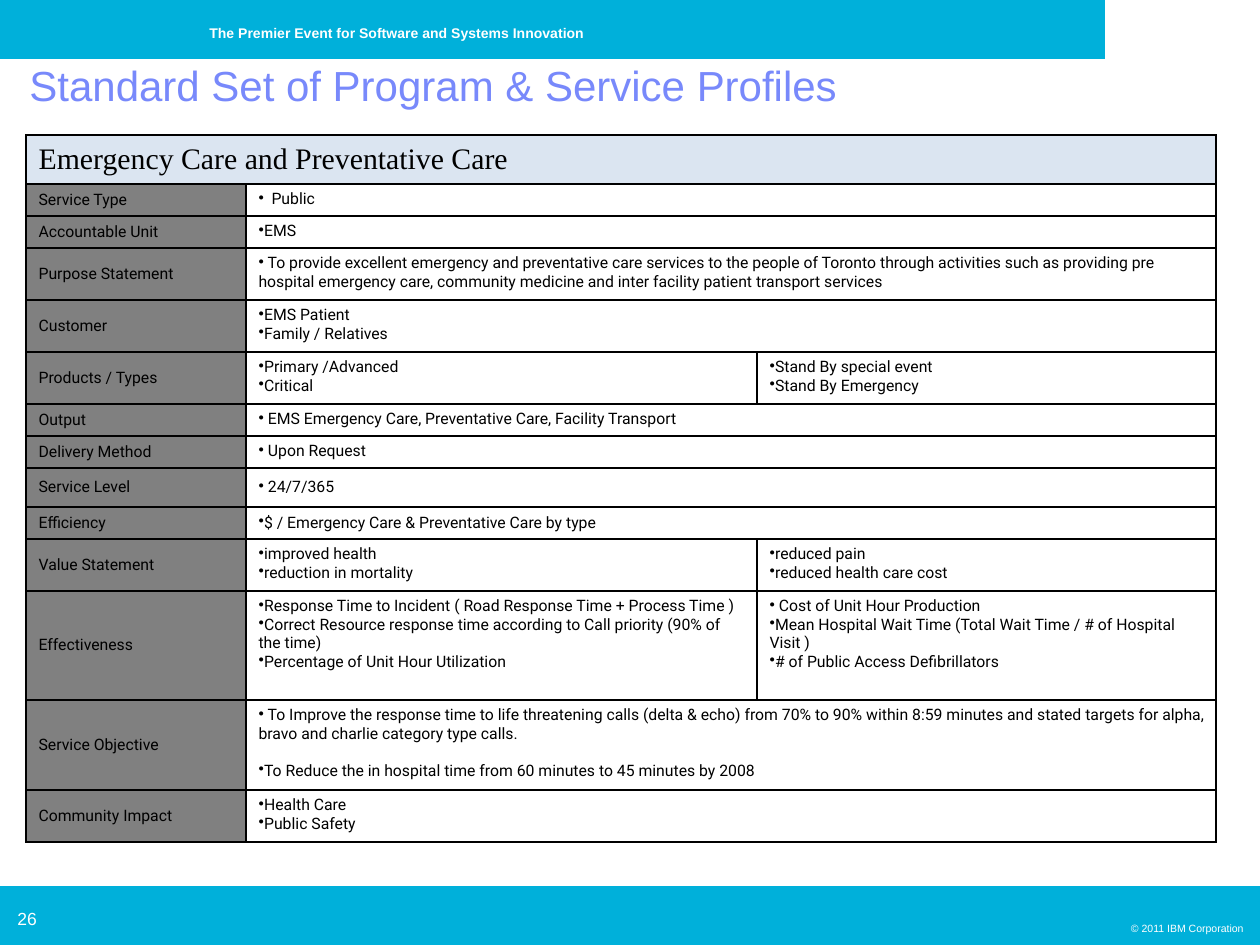
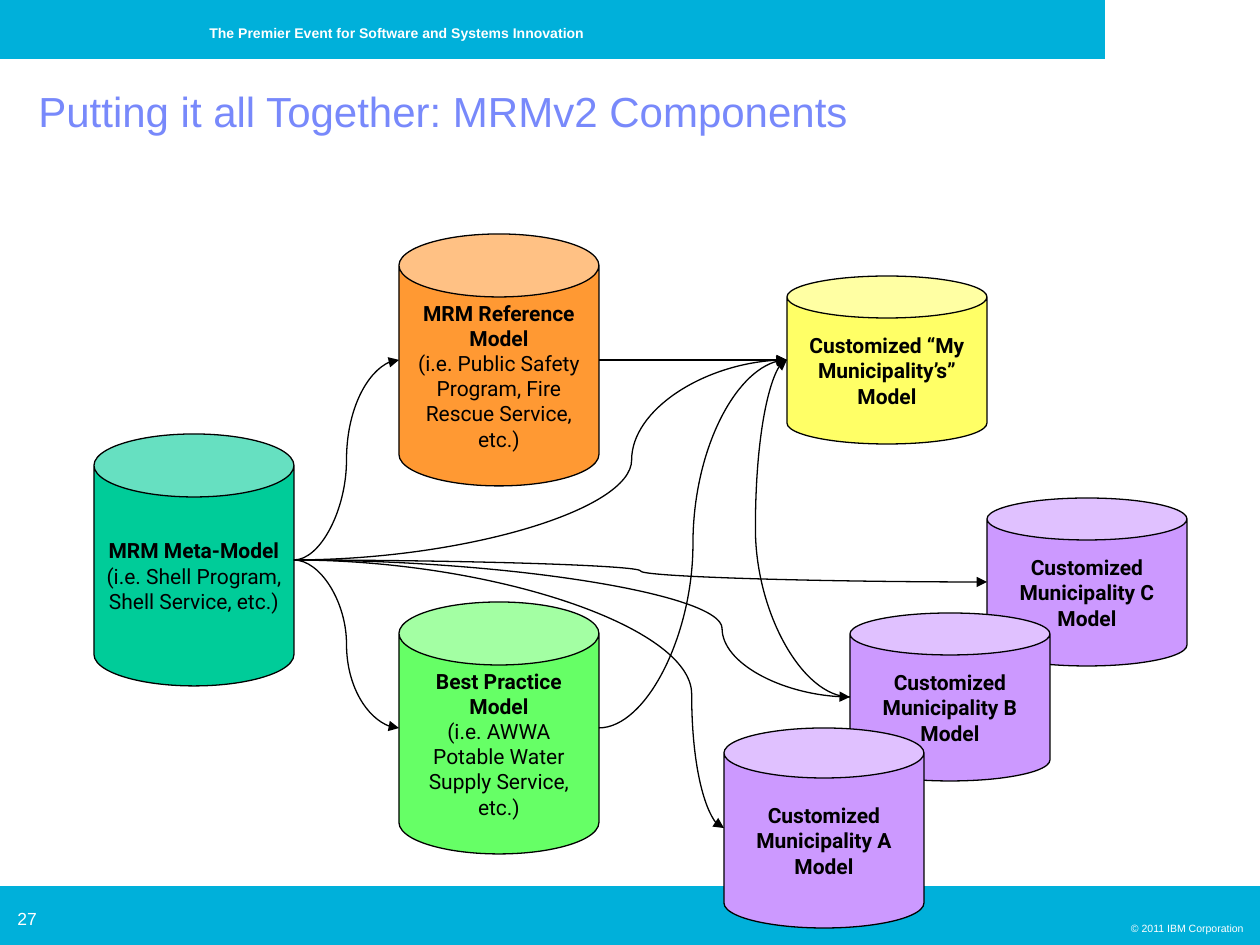
from dataclasses import dataclass
from lxml import etree
from pptx import Presentation
from pptx import util as u
from pptx.dml.color import RGBColor
from pptx.enum import shapes, text
from pptx.oxml.ns import qn

PX = 914400 / 126
SLIDE_W, SLIDE_H = 1260, 945
BAND_H = 59
CYAN, TITLE_BLUE, BLACK, WHITE = "00B0DA", "7889FB", "000000", "FFFFFF"
LABEL_GREY, HEAD_BLUE = "808080", "DBE5F1"
CAN_W = 200


@dataclass(frozen=True)
class Style:
    size: float
    font: str = "Arial"
    colour: str = WHITE
    bold: bool = False


TITLE = Style(24, colour=TITLE_BLUE)
CELL = Style(9, "Roboto", BLACK)
CAN_TEXT = Style(12, "Roboto", BLACK)
CAN_HEAD = Style(12, "Roboto", BLACK, True)


@dataclass(frozen=True)
class Row:
    label: str
    height: int
    left: tuple[str, ...]
    right: tuple[str, ...] = ()
    middle: bool = False
    hang: int = 0
    gap: float = 0


@dataclass(frozen=True)
class Can:
    name: str
    x: int
    y: int
    h: int
    fill: str
    head: str
    note: str = ""


@dataclass(frozen=True)
class Link:
    start: str
    end: str
    bend: float = 0.5
    start_side: str = "right"
    straight: bool = False


ROWS = [
    Row("Service Type", 32, ("Public",), hang=13),
    Row("Accountable Unit", 32, ("EMS",)),
    Row("Purpose Statement", 52, (
        " To provide excellent emergency and preventative care services to the people of Toronto "
        "through activities such as providing pre hospital emergency care, community medicine "
        "and inter facility patient transport services",)),
    Row("Customer", 52, ("EMS Patient", "Family / Relatives")),
    Row("Products / Types", 52, ("Primary /Advanced", "Critical"),
        ("Stand By special event", "Stand By Emergency")),
    Row("Output", 32, (" EMS Emergency Care, Preventative Care, Facility Transport",)),
    Row("Delivery Method", 32, (" Upon Request",)),
    Row("Service Level", 39, (" 24/7/365",), middle=True),
    Row("Efficiency", 32, ("$ / Emergency Care & Preventative Care by type",), middle=True),
    Row("Value Statement", 52, ("improved health", "reduction in mortality"),
        ("reduced pain", "reduced health care cost")),
    Row("Effectiveness", 109, (
        "Response Time to Incident ( Road Response Time + Process Time )",
        "Correct Resource response time according to Call priority (90% of the time)",
        "Percentage of Unit Hour Utilization"), (
        " Cost of Unit Hour Production",
        "Mean Hospital Wait Time (Total Wait Time / # of Hospital Visit )",
        "# of Public Access Defibrillators")),
    Row("Service Objective", 90, (
        " To Improve the response time to life threatening calls (delta & echo) from 70% to 90% "
        "within 8:59 minutes and stated targets for alpha, bravo and charlie category type calls.",
        "To Reduce the in hospital time from 60 minutes to 45 minutes by 2008"), gap=10.5),
    Row("Community Impact", 52, ("Health Care", "Public Safety")),
]
TABLE_HEAD_H = 49
COLUMNS = (220, 511, 459)

CANS = [
    Can("C", 987, 498, 168, "CC99FF", "Customized Municipality C Model"),
    Can("meta", 94, 434, 252, "00CC99", "MRM Meta-Model",
        "(i.e. Shell Program, Shell Service, etc.)"),
    Can("reference", 399, 234, 252, "FF9933", "MRM Reference Model",
        "(i.e. Public Safety Program, Fire Rescue Service, etc.)"),
    Can("practice", 399, 602, 252, "66FF66", "Best Practice Model",
        "(i.e. AWWA Potable Water Supply Service, etc.)"),
    Can("B", 850, 613, 168, "CC99FF", "Customized Municipality B Model"),
    Can("A", 724, 728, 200, "CC99FF", "Customized Municipality A Model"),
    Can("mine", 787, 276, 168, "FFFF66", "Customized “My Municipality’s” Model"),
]
LINKS = [
    Link("meta", "mine", 0.685),
    Link("meta", "reference"),
    Link("meta", "practice"),
    Link("meta", "A", 0.925),
    Link("meta", "B", 0.77),
    Link("meta", "C"),
    Link("reference", "mine", straight=True),
    Link("B", "mine", 1.5, start_side="left"),
    Link("practice", "mine"),
]


def px(n: float) -> int:
    return u.Emu(round(n * PX))


def rgb(colour: str) -> RGBColor:
    return RGBColor.from_string(colour)


def add_run(p, words: str, style: Style) -> None:
    r = p.add_run()
    r.text = words
    r.font.size = u.Pt(style.size)
    r.font.name = style.font
    r.font.bold = style.bold
    r.font.color.rgb = rgb(style.colour)


def add_text(s, box: tuple[int, int, int, int], words: str, style: Style,
             align=text.PP_ALIGN.LEFT, anchor=text.MSO_ANCHOR.TOP, spacing: float = 1.0) -> None:
    tf = s.shapes.add_textbox(*map(px, box)).text_frame
    tf.word_wrap = True
    tf.vertical_anchor = anchor
    p = tf.paragraphs[0]
    p.alignment = align
    p.line_spacing = spacing
    add_run(p, words, style)


def add_band(s, y: int, w: int) -> None:
    sp = s.shapes.add_shape(shapes.MSO_SHAPE.RECTANGLE, 0, px(y), px(w), px(BAND_H))
    sp.shadow.inherit = False
    sp.fill.solid()
    sp.fill.fore_color.rgb = rgb(CYAN)
    sp.line.fill.background()


def add_slide(prs, number: int):
    s = prs.slides.add_slide(prs.slide_layouts[6])
    add_band(s, SLIDE_H - BAND_H, SLIDE_W)
    add_band(s, 0, 1105)
    add_text(s, (197, 18, 479, 30), "The Premier Event for Software and Systems Innovation",
             Style(8, bold=True))
    add_text(s, (5, 902, 59, 34), str(number), Style(10))
    add_text(s, (1067, 916, 189, 25), "© 2011 IBM Corporation", Style(6), text.PP_ALIGN.RIGHT)
    return s


def format_cell(cell, fill: str, middle: bool) -> None:
    tc_pr = cell._tc.get_or_add_tcPr()
    for side in ("lnL", "lnR", "lnT", "lnB"):
        ln = etree.SubElement(tc_pr, qn(f"a:{side}"), w=str(u.Pt(1)))
        solid = etree.SubElement(ln, qn("a:solidFill"))
        etree.SubElement(solid, qn("a:srgbClr"), val=BLACK)
    cell.fill.solid()
    cell.fill.fore_color.rgb = rgb(fill)
    cell.vertical_anchor = text.MSO_ANCHOR.MIDDLE if middle else text.MSO_ANCHOR.TOP


def add_bullets(cell, items: tuple[str, ...], row: Row) -> None:
    tf = cell.text_frame
    for i, item in enumerate(items):
        p = tf.add_paragraph() if i else tf.paragraphs[0]
        p_pr = p._p.get_or_add_pPr()
        p_pr.set("marL", str(px(row.hang)))
        p_pr.set("indent", str(-px(row.hang)))
        etree.SubElement(p_pr, qn("a:buChar"), char="•")
        if i and row.gap:
            p.space_before = u.Pt(row.gap)
        add_run(p, item, CELL)


def add_profile_table(s) -> None:
    heights = [TABLE_HEAD_H] + [row.height for row in ROWS]
    frame = s.shapes.add_table(len(heights), len(COLUMNS), px(26), px(135),
                               px(sum(COLUMNS)), px(sum(heights)))
    table = frame.table
    table.first_row = table.horz_banding = False
    for column, w in zip(table.columns, COLUMNS):
        column.width = px(w)
    for line, h in zip(table.rows, heights):
        line.height = px(h)
    for c in range(len(COLUMNS)):
        format_cell(table.cell(0, c), HEAD_BLUE, True)
    head = table.cell(0, 0)
    head.merge(table.cell(0, 2))
    add_run(head.text_frame.paragraphs[0], "Emergency Care and Preventative Care",
            Style(17, "Times New Roman", BLACK))
    for i, row in enumerate(ROWS, 1):
        label, left, right = (table.cell(i, c) for c in range(3))
        format_cell(label, LABEL_GREY, True)
        format_cell(left, WHITE, row.middle)
        format_cell(right, WHITE, row.middle)
        add_run(label.text_frame.paragraphs[0], row.label, CELL)
        add_bullets(left, row.left, row)
        if row.right:
            add_bullets(right, row.right, row)
        else:
            left.merge(right)


def add_can(s, can: Can) -> None:
    sp = s.shapes.add_shape(shapes.MSO_SHAPE.CAN, px(can.x), px(can.y), px(CAN_W), px(can.h))
    sp.adjustments[0] = can.h / 4 / min(CAN_W, can.h)
    sp.shadow.inherit = False
    sp.fill.solid()
    sp.fill.fore_color.rgb = rgb(can.fill)
    sp.line.color.rgb = rgb(BLACK)
    sp.line.width = u.Pt(0.75)
    tf = sp.text_frame
    tf.word_wrap = True
    tf.vertical_anchor = text.MSO_ANCHOR.MIDDLE
    p = tf.paragraphs[0]
    p.alignment = text.PP_ALIGN.CENTER
    add_run(p, can.head, CAN_HEAD)
    if can.note:
        p = tf.add_paragraph()
        p.alignment = text.PP_ALIGN.CENTER
        add_run(p, can.note, CAN_TEXT)


def side_middle(can: Can, side: str) -> tuple[int, int]:
    return px(can.x + (CAN_W if side == "right" else 0)), px(can.y + can.h / 2)


def add_link(s, link: Link, cans: dict[str, Can]) -> None:
    kind = shapes.MSO_CONNECTOR.STRAIGHT if link.straight else shapes.MSO_CONNECTOR.CURVE
    cx = s.shapes.add_connector(kind, *side_middle(cans[link.start], link.start_side),
                                *side_middle(cans[link.end], "left"))
    cx.line.color.rgb = rgb(BLACK)
    cx.line.width = u.Pt(0.75)
    sp_pr = cx._element.spPr
    etree.SubElement(sp_pr.find(qn("a:ln")), qn("a:tailEnd"), type="triangle")
    etree.SubElement(sp_pr, qn("a:effectLst"))
    if not link.straight:
        guides = sp_pr.find(qn("a:prstGeom")).find(qn("a:avLst"))
        etree.SubElement(guides, qn("a:gd"), name="adj1", fmla=f"val {round(link.bend * 100000)}")


def main() -> None:
    prs = Presentation()
    prs.slide_width, prs.slide_height = px(SLIDE_W), px(SLIDE_H)

    s = add_slide(prs, 26)
    add_profile_table(s)
    add_text(s, (17, 59, 1243, 68), "Standard Set of Program & Service Profiles", TITLE,
             spacing=0.9)

    s = add_slide(prs, 27)
    for can in CANS:
        add_can(s, can)
    cans = {can.name: can for can in CANS}
    for link in LINKS:
        add_link(s, link, cans)
    add_text(s, (26, 63, 1200, 95), "Putting it all Together: MRMv2 Components", TITLE,
             anchor=text.MSO_ANCHOR.MIDDLE)

    prs.save("out.pptx")


if __name__ == "__main__":
    main()
